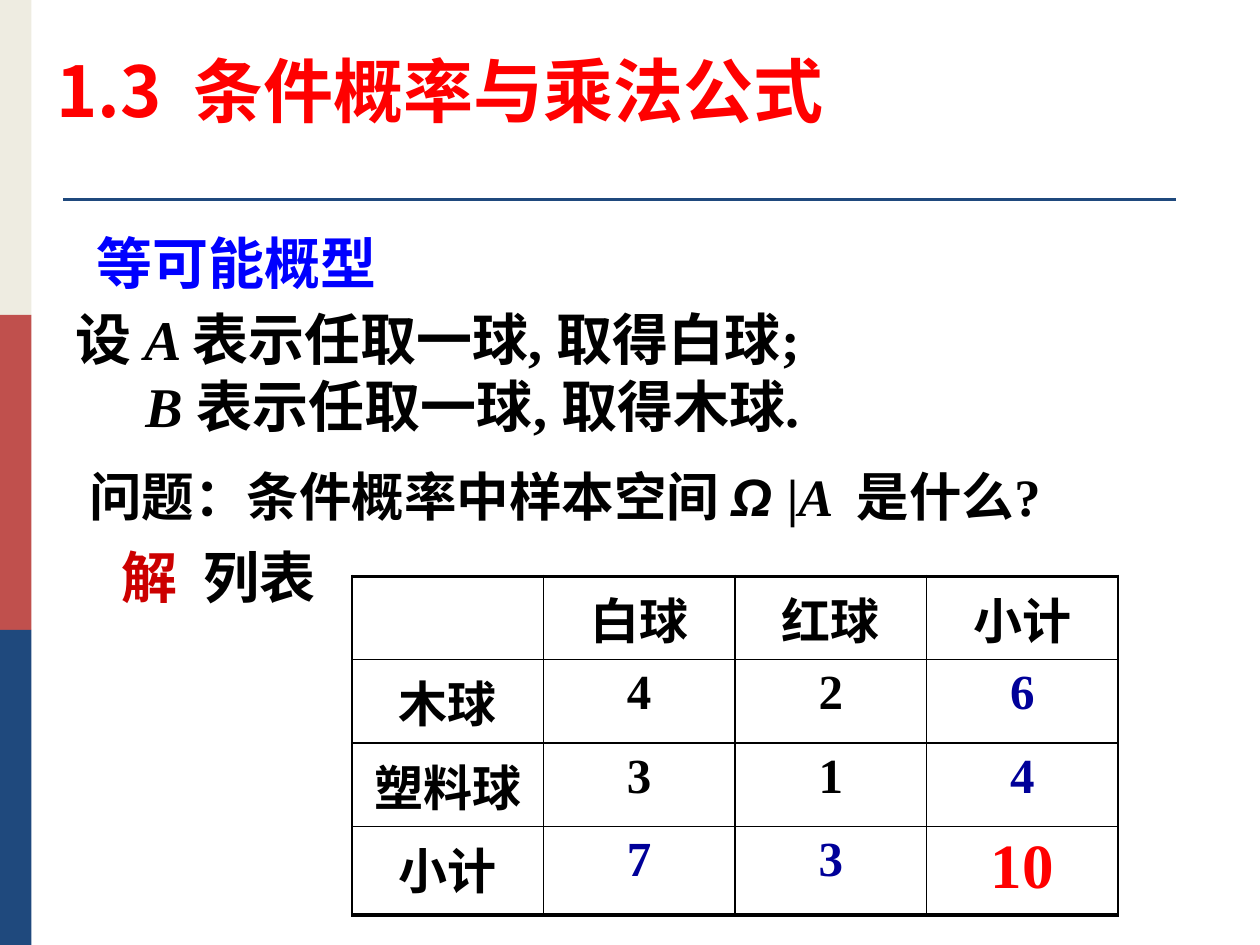
"""Build a lesson slide on conditional probability and the multiplication rule."""
import pptx
import pptx.dml.color
import pptx.enum.shapes
import pptx.enum.text
import pptx.oxml
import pptx.oxml.ns
import pptx.util
from lxml import etree

Pt = pptx.util.Pt
qn = pptx.oxml.ns.qn
COLORS = {
    "cream": "EEECE1", "brick": "C0504D", "navy": "1F497D", "black": "000000",
    "red": "FF0000", "blue": "0000FF", "crimson": "CC0000", "total": "000099",
}
SERIF, SANS, HAN = "Times New Roman", "Arial", "Noto Sans CJK SC"


def rgb(name):
    return pptx.dml.color.RGBColor.from_string(COLORS[name])


class Deck:
    def __init__(self, width, height):
        self.prs = pptx.Presentation()
        self.prs.slide_width, self.prs.slide_height = Pt(width), Pt(height)
        self.s = self.prs.slides.add_slide(self.prs.slide_layouts[6])

    def rect(self, x, y, w, h, color):
        kind = pptx.enum.shapes.MSO_SHAPE.RECTANGLE
        sp = self.s.shapes.add_shape(kind, Pt(x), Pt(y), Pt(w), Pt(h))
        sp.shadow.inherit = False
        sp.fill.solid()
        sp.fill.fore_color.rgb = rgb(color)
        sp.line.fill.background()

    def line(self, x1, y1, x2, y2, color, width):
        kind = pptx.enum.shapes.MSO_CONNECTOR.STRAIGHT
        cx = self.s.shapes.add_connector(kind, Pt(x1), Pt(y1), Pt(x2), Pt(y2))
        cx.line.color.rgb = rgb(color)
        cx.line.width = Pt(width)
        etree.SubElement(cx._element.spPr, qn("a:effectLst"))

    def paragraph(self, p, runs, size, color="black", font=SERIF):
        p.font.size, p.font.bold, p.font.name = Pt(size), True, font
        p.font.color.rgb = rgb(color)
        rpr = p._p.pPr.find(qn("a:defRPr"))
        etree.SubElement(rpr, qn("a:ea")).set("typeface", HAN)
        for text, style in runs:
            r = p.add_run()
            r.text = text
            if "italic" in style:
                r.font.italic = style["italic"]
            if "font" in style:
                r.font.name = style["font"]
            if "color" in style:
                r.font.color.rgb = rgb(style["color"])

    def text(self, x, y, w, h, lines, size, wrap=False, indents=(), **style):
        tf = self.s.shapes.add_textbox(Pt(x), Pt(y), Pt(w), Pt(h)).text_frame
        tf.word_wrap = wrap
        for i, runs in enumerate(lines):
            p = tf.add_paragraph() if i else tf.paragraphs[0]
            self.paragraph(p, runs, size, **style)
            if i < len(indents):
                p._p.pPr.set("indent", str(Pt(indents[i])))

    def borders(self, cell, widths):
        tcpr = cell._tc.get_or_add_tcPr()
        for i, (side, width) in enumerate(widths.items()):
            ln = etree.Element(qn("a:ln" + side), w=str(Pt(width)))
            fill = etree.SubElement(ln, qn("a:solidFill"))
            etree.SubElement(fill, qn("a:srgbClr")).set("val", COLORS["black"])
            tcpr.insert(i, ln)

    def table(self, x, y, col_width, heights, rows, style_of):
        n, m = len(rows), len(rows[0])
        frame = self.s.shapes.add_table(n, m, Pt(x), Pt(y), Pt(col_width * m), Pt(sum(heights)))
        tbl = frame.table
        tbl.first_row = tbl.horz_banding = False
        for col in tbl.columns:
            col.width = Pt(col_width)
        for i, (row, height) in enumerate(zip(rows, heights)):
            tbl.rows[i].height = Pt(height)
            for j, value in enumerate(row):
                cell = tbl.cell(i, j)
                cell.fill.background()
                p = cell.text_frame.paragraphs[0]
                p.alignment = pptx.enum.text.PP_ALIGN.CENTER
                size, color = style_of(i, j)
                self.paragraph(p, [(value, {})] if value else [], size, color)
                self.borders(cell, {
                    "L": 0.96, "R": 0.96,
                    "T": 2.21 if i == 0 else 0.96,
                    "B": 2.21 if i == n - 1 else 0.96,
                })


def count_style(i, j):
    if i == j == 3:
        return 36, "red"
    is_total = i and j and 3 in (i, j)
    return 28, "total" if is_total else "black"


deck = Deck(720, 540)
for i, color in enumerate(("cream", "brick", "navy")):
    deck.rect(0, 180 * i, 18, 180, color)
deck.line(36, 114, 672, 114, "navy", 1.5)

plain, italic = {}, {"italic": True}
deck.text(25.3, 23.7, 513, 55, [[("1.3  条件概率与乘法公式 ", plain)]], 40, color="red", font=HAN)
deck.text(48, 127, 178, 45, [[("等可能概型", plain)]], 32, color="blue")
deck.text(36, 170.5, 480, 84, [
    [("设 ", plain), ("A ", italic), ("表示任取一球, 取得白球; ", plain)],
    [("B ", italic), ("表示任取一球, 取得木球.", plain)],
], 32, indents=(0, 40))
deck.text(62.5, 306.7, 128, 45, [[("解 ", {"color": "crimson"}), (" 列表", plain)]], 32)
deck.table(201, 329.3, 109.5, (47.7, 47.7, 47.7, 50), [
    ("", "白球", "红球", "小计"),
    ("木球", "4", "2", "6"),
    ("塑料球", "3", "1", "4"),
    ("小计", "7", "3", "10"),
], count_style)
deck.text(44, 261.5, 612, 43, [[
    ("问题：条件概率中样本空间 ", plain), ("Ω ", {"italic": True, "font": SANS}),
    ("|", plain), ("A  ", italic), ("是什么? ", plain),
]], 30, wrap=True)
deck.prs.save("out.pptx")
